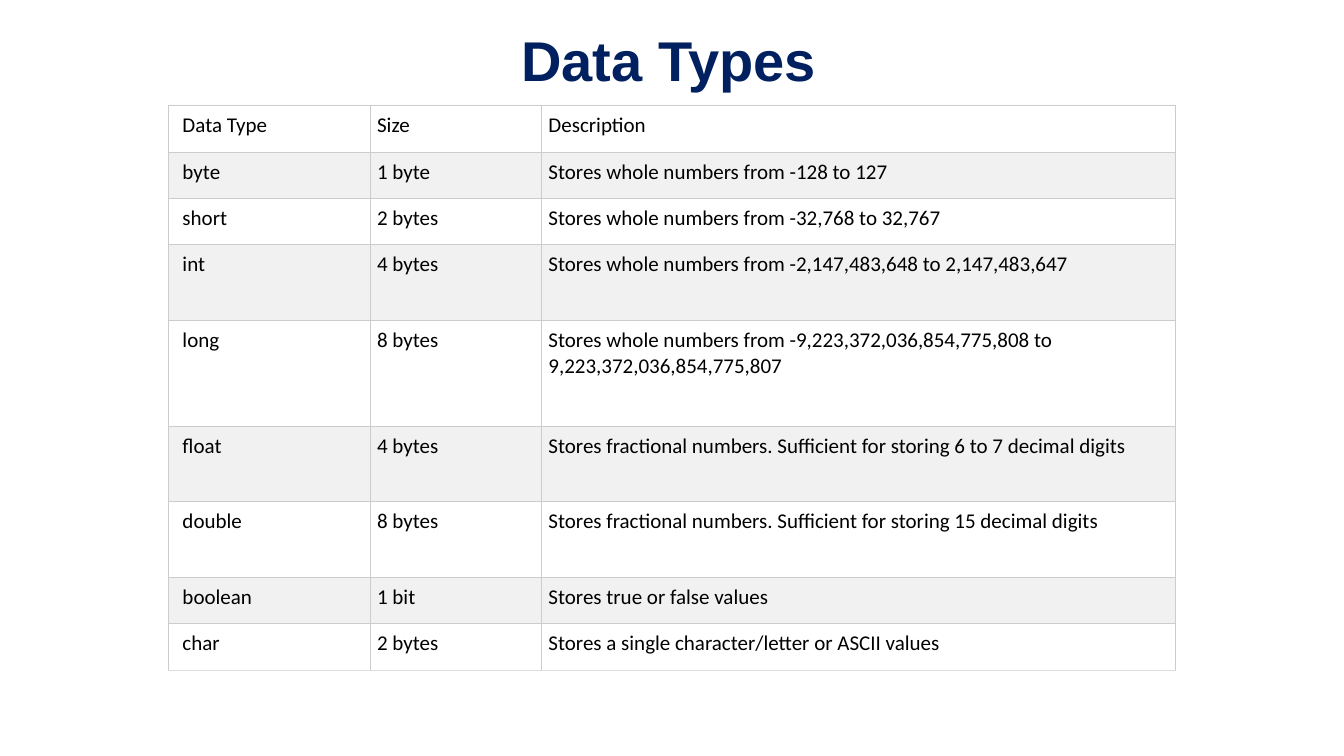
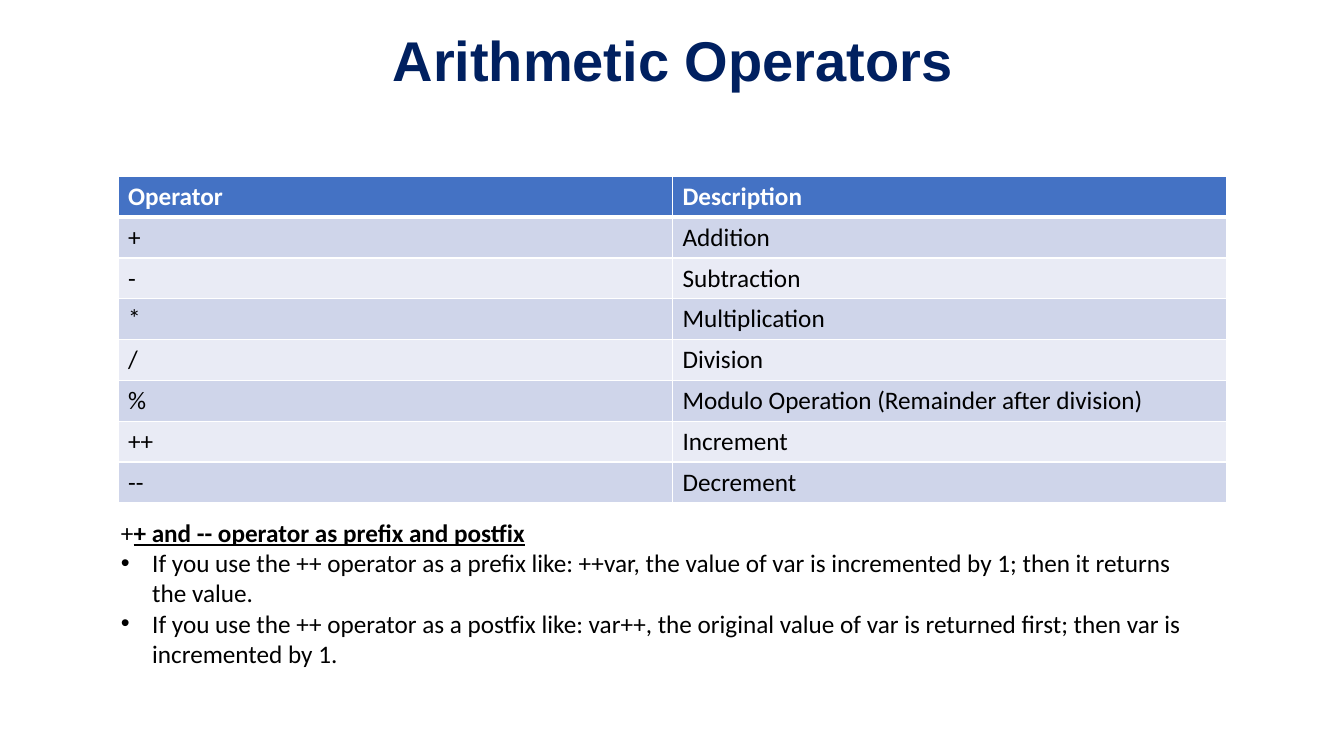
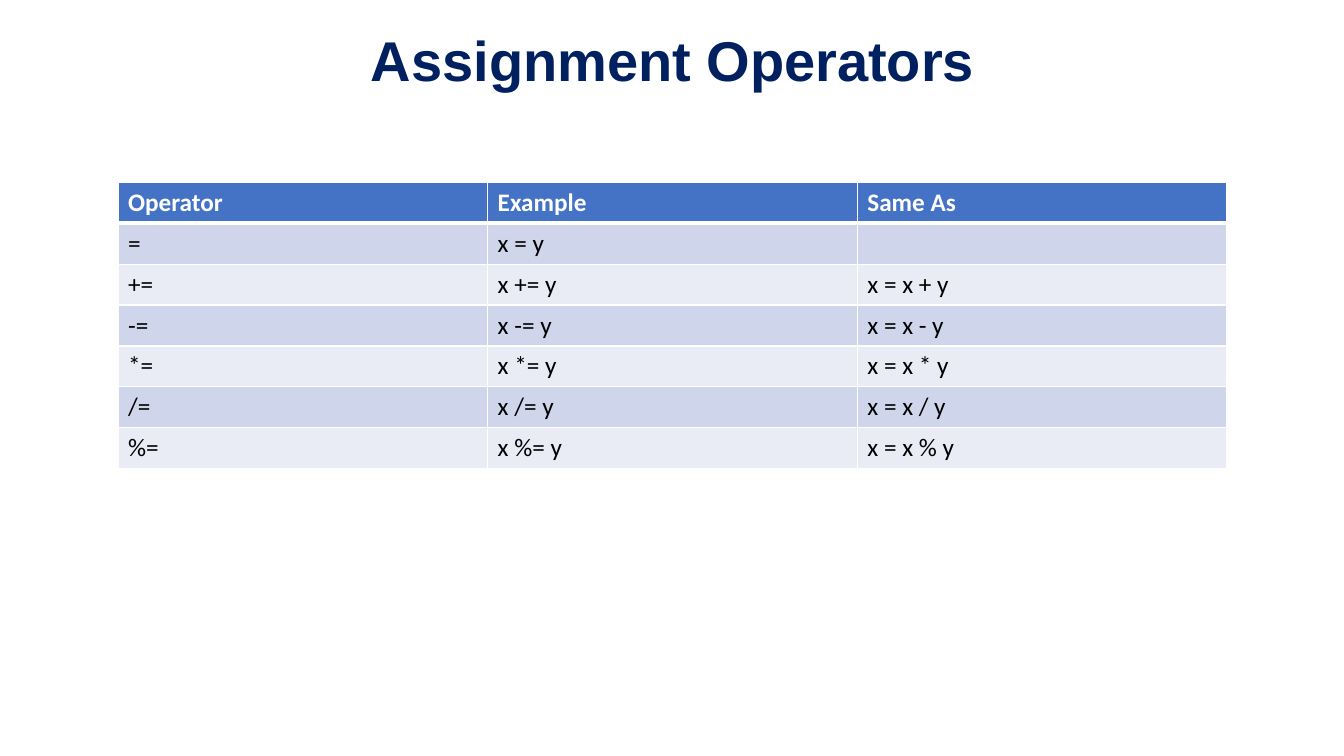
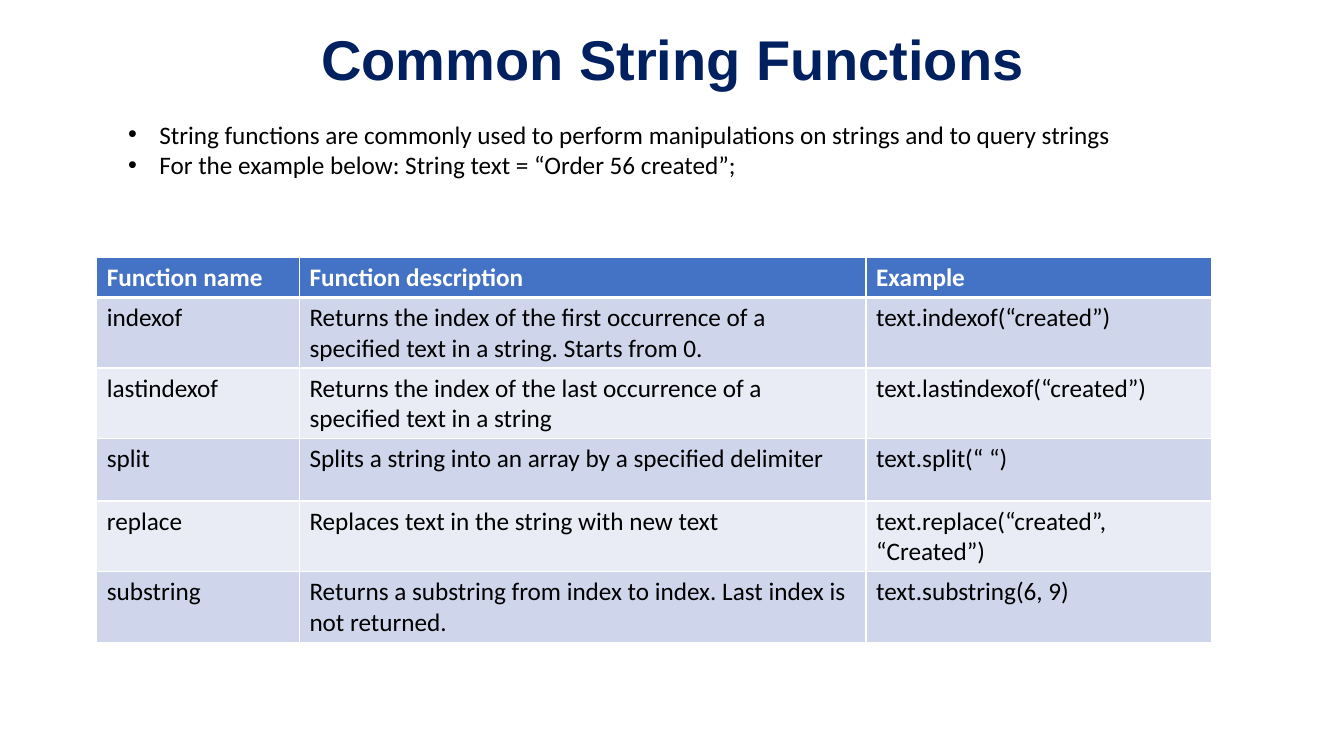
from lxml.etree import SubElement
from pptx import Presentation
from pptx.dml.color import RGBColor as RGB
from pptx.enum.text import MSO_ANCHOR as Anchor, MSO_AUTO_SIZE as Fit, PP_ALIGN as Align
from pptx.oxml.ns import qn
from pptx.util import Inches, Pt

NAVY = RGB(0x00, 0x20, 0x60)
BLUE = RGB(0x44, 0x72, 0xC4)
MIST = RGB(0xCF, 0xD5, 0xEA)
PALE = RGB(0xE9, 0xEB, 0xF5)
SMOKE = RGB(0xF1, 0xF1, 0xF1)
GRID = RGB(0xCC, 0xCC, 0xCC)
EDGE = RGB(0xDD, 0xDD, 0xDD)
WHITE = RGB(0xFF, 0xFF, 0xFF)
BLACK = RGB(0x00, 0x00, 0x00)

TYPES = [
    ("Data Type", "Size", "Description"),
    ("byte", "1 byte", "Stores whole numbers from -128 to 127"),
    ("short", "2 bytes", "Stores whole numbers from -32,768 to 32,767"),
    ("int", "4 bytes", "Stores whole numbers from -2,147,483,648 to 2,147,483,647"),
    ("long", "8 bytes", "Stores whole numbers from -9,223,372,036,854,775,808 to 9,223,372,036,854,775,807"),
    ("float", "4 bytes", "Stores fractional numbers. Sufficient for storing 6 to 7 decimal digits"),
    ("double", "8 bytes", "Stores fractional numbers. Sufficient for storing 15 decimal digits"),
    ("boolean", "1 bit", "Stores true or false values"),
    ("char", "2 bytes", "Stores a single character/letter or ASCII values"),
]
MATH = [
    ("Operator", "Description"),
    ("+", "Addition"),
    ("-", "Subtraction"),
    ("*", "Multiplication"),
    ("/", "Division"),
    ("%", "Modulo Operation (Remainder after division)"),
    ("++", "Increment"),
    ("--", "Decrement"),
]
ASSIGN = [("Operator", "Example", "Same As"), ("=", "x = y", "")] + [
    (f"{sign}=", f"x {sign}= y", f"x = x {sign} y") for sign in "+-*/%"
]
STRINGS = [
    ("Function name", "Function description", "Example"),
    ("indexof", "Returns the index of the first occurrence of a specified text in a string. Starts from 0.",
     "text.indexof(“created”)"),
    ("lastindexof", "Returns the index of the last occurrence of a specified text in a string",
     "text.lastindexof(“created”)"),
    ("split", "Splits a string into an array by a specified delimiter", "text.split(“ “)"),
    ("replace", "Replaces text in the string with new text", "text.replace(“created”, “Created”)"),
    ("substring", "Returns a substring from index to index. Last index is not returned.",
     "text.substring(6, 9)"),
]


class Deck:
    def __init__(self):
        self.file = Presentation()
        self.file.slide_width = Inches(13.33)
        self.file.slide_height = Inches(7.5)
        self.slide = None

    def style(self, para, size, color=BLACK, bold=False, face="Calibri"):
        font = para.font
        font.name, font.size, font.bold = face, Pt(size), bold
        font.color.rgb = color

    def place(self, shape, box):
        shape.left, shape.top, shape.width, shape.height = map(Inches, box)
        frame = shape.text_frame
        frame.word_wrap = True
        frame.auto_size = Fit.SHAPE_TO_FIT_TEXT
        frame.vertical_anchor = Anchor.TOP
        return frame

    def page(self, title, box=(1.17, 0.28, 11, 0.71), body=False):
        layout = self.file.slide_layouts[1 if body else 5]
        self.slide = self.file.slides.add_slide(layout)
        frame = self.place(self.slide.shapes.title, box)
        frame.text = title
        para = frame.paragraphs[0]
        para.alignment = Align.CENTER
        para.line_spacing = 0.9
        self.style(para, 40, NAVY, True, "Arial")

    def notes(self, box, items, lead=None):
        frame = self.place(self.slide.placeholders[1], box)
        frame.text = "\n".join(([""] if lead else []) + items)
        for num, para in enumerate(frame.paragraphs):
            props = para._p.get_or_add_pPr()
            head = bool(lead) and num == 0
            dent = 0 if head else Inches(0.31)
            props.set("marL", str(dent))
            props.set("indent", str(-dent))
            if head:
                SubElement(props, qn("a:buNone"))
                plain, strong = (para.add_run() for part in lead)
                plain.text, strong.text = lead
                strong.font.bold = strong.font.underline = True
            else:
                SubElement(props, qn("a:buFont"), typeface="Arial")
                SubElement(props, qn("a:buChar"), char="•")
            para.space_before = Pt(0)
            self.style(para, 18)

    def border(self, cell, color, width, low):
        props = cell._tc.get_or_add_tcPr()
        for side in "LRTB":
            tint, size = low if side == "B" else (color, width)
            line = SubElement(props, qn(f"a:ln{side}"), w=str(Pt(size)))
            fill = SubElement(line, qn("a:solidFill"))
            SubElement(fill, qn("a:srgbClr"), val=str(tint))

    def grid(self, left, top, cols, highs, data):
        shape = self.slide.shapes.add_table(
            len(data), len(cols), Inches(left), Inches(top),
            Inches(sum(cols)), Inches(sum(highs)))
        table = shape.table
        table.first_row = table.horz_banding = False
        for col, width in zip(table.columns, cols):
            col.width = Inches(width)
        for row, high in zip(table.rows, highs):
            row.height = Inches(high)
        for row, line in enumerate(data):
            for col, text in enumerate(line):
                cell = table.cell(row, col)
                cell.text = text
                yield row, col, cell

    def paint(self, cell, color):
        cell.fill.solid()
        cell.fill.fore_color.rgb = color

    def plain(self, *args):
        data = args[-1]
        for row, col, cell in self.grid(*args):
            last = row == len(data) - 1
            self.border(cell, GRID, 0.75, (EDGE if last else GRID, 0.75))
            self.paint(cell, SMOKE if row % 2 else WHITE)
            cell.margin_left = Inches(0.07 if col else 0.14)
            cell.margin_right = cell.margin_top = cell.margin_bottom = Inches(0.07)
            self.style(cell.text_frame.paragraphs[0], 15)

    def banded(self, *args):
        for row, col, cell in self.grid(*args):
            head = row == 0
            self.border(cell, WHITE, 1, (WHITE, 3 if head else 1))
            self.paint(cell, BLUE if head else MIST if row % 2 else PALE)
            self.style(cell.text_frame.paragraphs[0], 18, WHITE if head else BLACK, head)


def main():
    deck = Deck()

    deck.page("Data Types", (3.65, 0.28, 5.96, 0.71))
    low, mid, tall = 0.46, 0.75, 1.05
    highs = [low, low, low, mid, tall, mid, mid, low, low]
    deck.plain(1.67, 1.05, [2, 1.7, 6.29], highs, TYPES)

    deck.page("Arithmetic Operators", body=True)
    deck.banded(1.17, 1.75, [5.5] * 2, [3.24 / 8] * 8, MATH)
    deck.notes((1.1, 5.08, 11, 1.62), [
        "If you use the ++ operator as a prefix like: ++var, the value of var is incremented by 1; "
        "then it returns the value.",
        "If you use the ++ operator as a postfix like: var++, the original value of var is returned first; "
        "then var is incremented by 1.",
    ], ("+", "+ and -- operator as prefix and postfix"))

    deck.page("Assignment Operators")
    deck.banded(1.17, 1.81, [11 / 3] * 3, [2.84 / 7] * 7, ASSIGN)

    deck.page("Common String Functions", (1.17, 0.27, 11, 0.71), body=True)
    deck.notes((1.17, 1.13, 10.65, 0.71), [
        "String functions are commonly used to perform manipulations on strings and to query strings",
        "For the example below: String text = “Order 56 created”;",
    ])
    deck.banded(0.96, 2.55, [2.01, 5.62, 3.43], [0.39, 0.7, 0.7, 0.62, 0.7, 0.7], STRINGS)

    deck.file.save("out.pptx")


if __name__ == "__main__":
    main()
